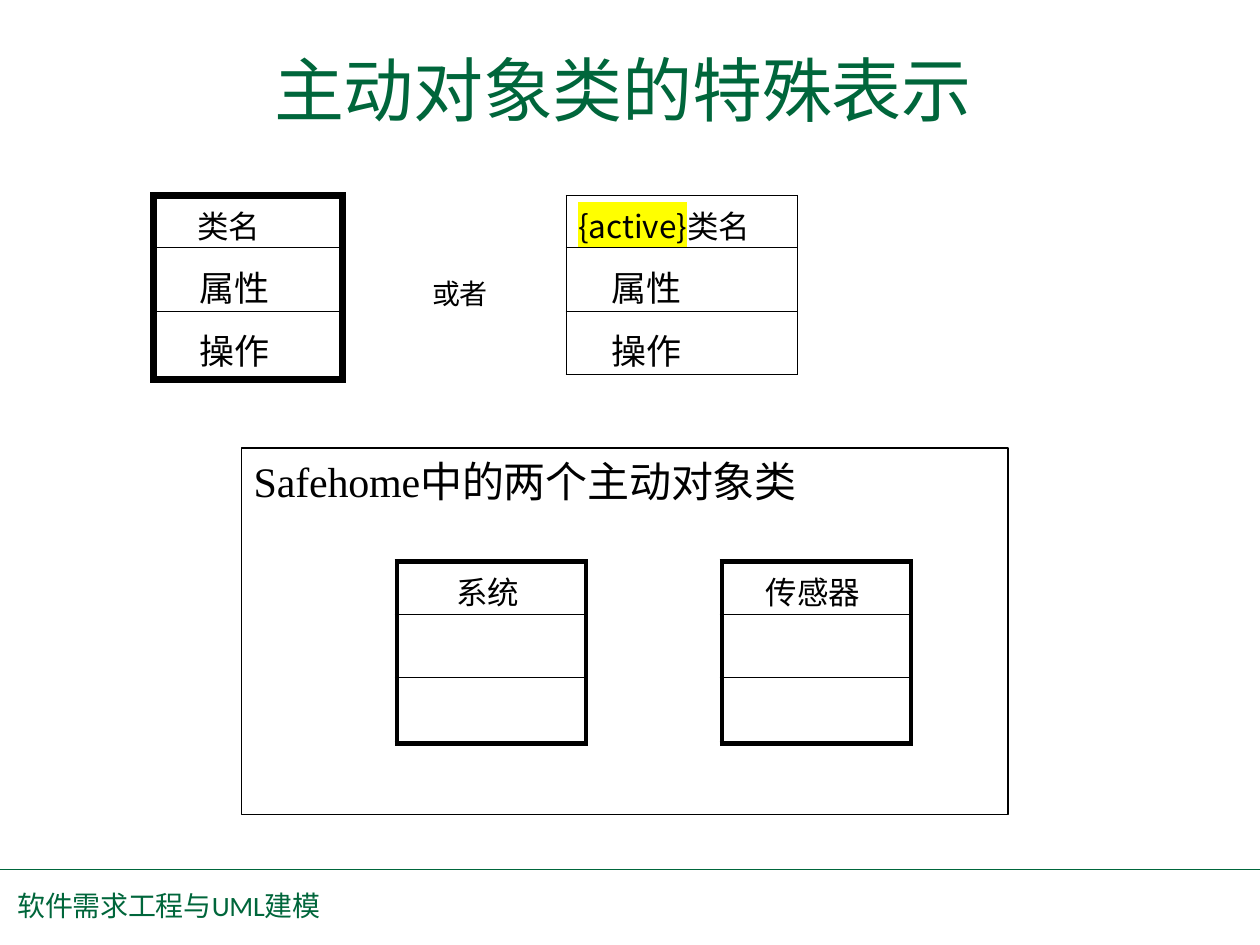
"""Build a slide on the special notation for active object classes."""
from dataclasses import dataclass

from lxml import etree
from pptx import Presentation
from pptx import util as u
from pptx.dml import color
from pptx.enum import shapes, text
from pptx.oxml import ns


@dataclass(frozen=True)
class Theme:
    green: str = "00663B"
    black: str = "000000"
    mark: str = "FFFF00"
    cjk: str = "Noto Sans CJK SC"
    serif: str = "Times New Roman"
    sans: str = "Calibri"
    title: int = 40
    lead: int = 24
    body: int = 20
    name: int = 18
    small: int = 16
    thin: float = 0.75


def rgb(code):
    return color.RGBColor.from_string(code)


def write(frame, *runs, size, ink, face, pitch=None, left=0, gap=None):
    para = frame.paragraphs[0]
    para.alignment = text.PP_ALIGN.LEFT
    if pitch:
        para.line_spacing = u.Pt(pitch)
    if left:
        para._p.get_or_add_pPr().set("marL", str(u.Pt(left)))
    for item in runs:
        words, look = item if isinstance(item, tuple) else (item, {})
        run = para.add_run()
        run.text = words
        font = run.font
        font.size = u.Pt(size)
        font.color.rgb = rgb(ink)
        font.name = look.get("face", face)
        props = run._r.get_or_add_rPr()
        latin = props.find(ns.qn("a:latin"))
        east = etree.Element(ns.qn("a:ea"), typeface=face)
        latin.addnext(east)
        if gap:
            props.set("spc", str(gap))
        if "mark" in look:
            mark = etree.Element(ns.qn("a:highlight"))
            etree.SubElement(mark, ns.qn("a:srgbClr"), val=look["mark"])
            latin.addprevious(mark)


class Page:
    def __init__(self, deck, theme):
        self.theme = theme
        self.slide = deck.slides.add_slide(deck.slide_layouts[5])
        self.shapes = self.slide.shapes

    def fit(self, box, top=0):
        frame = box.text_frame
        frame.word_wrap = True
        frame.auto_size = text.MSO_AUTO_SIZE.NONE
        frame.vertical_anchor = text.MSO_ANCHOR.TOP
        frame.margin_left = frame.margin_right = frame.margin_bottom = 0
        frame.margin_top = u.Pt(top)
        return frame

    def title(self, words, x, y, w, h, **fmt):
        box = self.shapes.title
        box.left, box.top, box.width, box.height = map(u.Pt, (x, y, w, h))
        write(self.fit(box), words, **fmt)

    def label(self, x, y, w, h, *runs, top=0, **fmt):
        box = self.shapes.add_textbox(*map(u.Pt, (x, y, w, h)))
        write(self.fit(box, top), *runs, **fmt)

    def rule(self, x, y, end, ink, width):
        line = self.shapes.add_connector(
            shapes.MSO_CONNECTOR.STRAIGHT, *map(u.Pt, (x, y, end, y)))
        line.line.color.rgb = rgb(ink)
        line.line.width = u.Pt(width)
        etree.SubElement(line._element.spPr, ns.qn("a:effectLst"))

    def frame(self, x, y, w, h):
        box = self.shapes.add_shape(
            shapes.MSO_SHAPE.RECTANGLE, *map(u.Pt, (x, y, w, h)))
        box.shadow.inherit = False
        box.fill.background()
        box.line.color.rgb = rgb(self.theme.black)
        box.line.width = u.Pt(self.theme.thin)

    def edges(self, cell, **widths):
        props = cell._tc.get_or_add_tcPr()
        for side, width in widths.items():
            line = etree.SubElement(
                props, ns.qn("a:ln" + side), w=str(u.Pt(width)))
            fill = etree.SubElement(line, ns.qn("a:solidFill"))
            etree.SubElement(fill, ns.qn("a:srgbClr"), val=self.theme.black)

    def uml(self, x, y, w, rows, name, left, parts=(), edge=None):
        look = self.theme
        edge = edge or look.thin
        grid = self.shapes.add_table(
            len(rows), 1, *map(u.Pt, (x, y, w, sum(rows)))).table
        grid.first_row = grid.horz_banding = False
        last = len(rows) - 1
        for i, high in enumerate(rows):
            grid.rows[i].height = u.Pt(high)
            cell = grid.cell(i, 0)
            cell.margin_left = cell.margin_right = cell.margin_bottom = 0
            cell.margin_top = u.Pt(7.2 if i else 3.6)
            self.edges(cell, L=edge, R=edge,
                       T=look.thin if i else edge,
                       B=edge if i == last else look.thin)
            cell.fill.background()
            fmt = dict(ink=look.black, face=look.cjk)
            if i == 0:
                write(cell.text_frame, *name, size=look.name, left=left, **fmt)
            elif parts:
                write(cell.text_frame, parts[i - 1], size=look.body,
                      left=26, **fmt)


def main():
    deck = Presentation()
    deck.slide_width, deck.slide_height = u.Pt(720), u.Pt(540)
    look = Theme()
    page = Page(deck, look)
    green = dict(ink=look.green, face=look.cjk, gap=-10)
    black = dict(ink=look.black, face=look.cjk, gap=-10)

    page.rule(0, 496.8, 720, look.green, 1)
    page.title("主动对象类的特殊表示", 156.6, 21.5, 402, 50,
               size=look.title, pitch=53, **green)

    parts = ("属性", "操作")
    page.uml(87.8, 111.6, 108, (30, 36, 39), ["类名"], 25, parts, 4.25)
    page.uml(323.5, 111.6, 132, (30, 36, 35.5),
             [("{active}", {"mark": look.mark}), "类名"], 7, parts)
    page.label(247, 156.2, 34, 21, "或者", size=look.small, pitch=21, **black)

    for x, name, left in ((226.8, "系统", 34), (412.6, "传感器", 25)):
        page.uml(x, 321, 108, (30, 36, 38), [name], left, edge=3)
    page.frame(138, 256, 438, 209.5)
    page.label(145, 258.5, 314, 31, ("Safehome", {"face": look.serif}),
               "中的两个主动对象类", size=look.lead, pitch=29, top=1.5, **black)
    page.label(10, 509, 176.4, 19.5, "软件需求工程与",
               ("UML", {"face": look.sans}), "建模",
               size=look.small, pitch=17, top=1, **green)
    deck.save("out.pptx")


if __name__ == "__main__":
    main()
